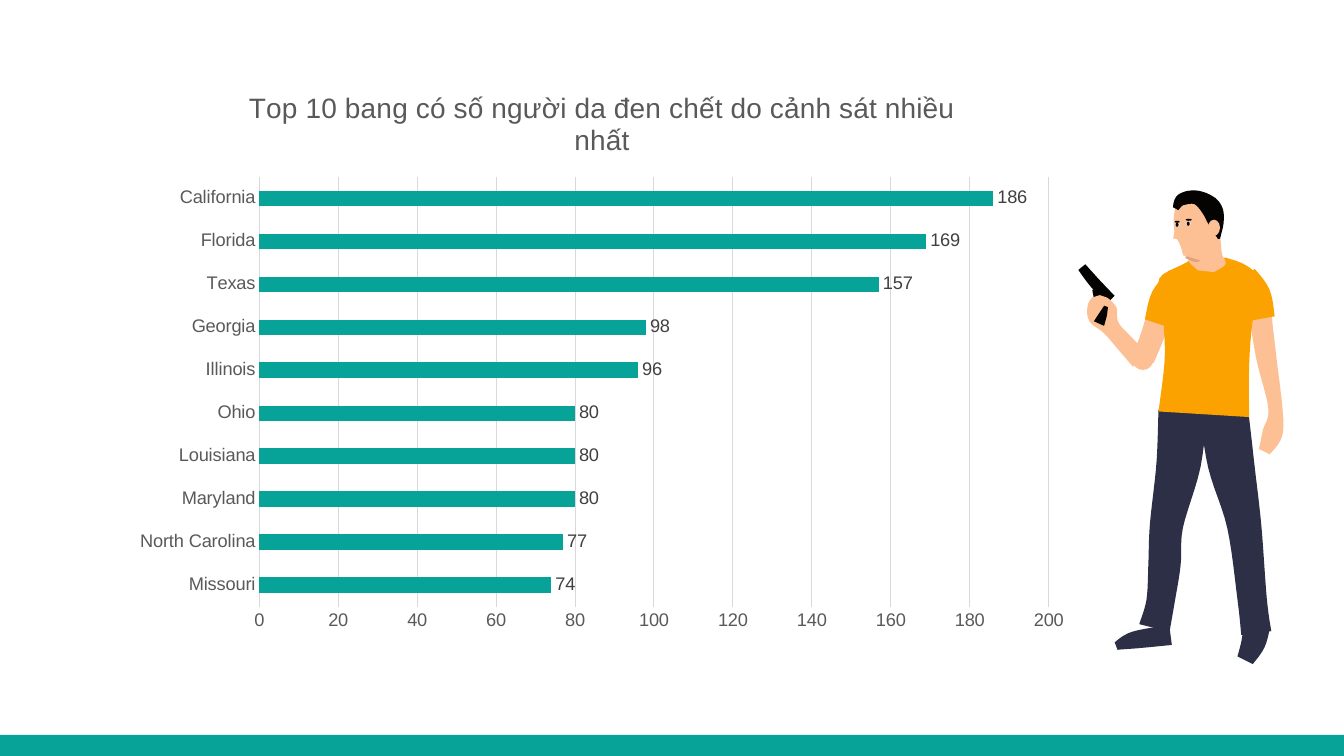
"""Build a slide with a bar chart of ten states beside a standing figure."""
import math

from pptx import Presentation
from pptx import util as u
from pptx.chart.data import CategoryChartData
from pptx.dml.color import RGBColor
from pptx.enum import chart as ch, shapes

COLORS = {"teal": "07A398", "grid": "D9D9D9", "label": "404040", "text": "595959",
          "skin": "FDC095", "shade": "E2A37A", "navy": "2C2F45", "shirt": "FBA200",
          "black": "050301", "eye": "F2F2F2"}

STATES = {"Missouri": 74, "North Carolina": 77, "Maryland": 80, "Louisiana": 80,
          "Ohio": 80, "Illinois": 96, "Georgia": 98, "Texas": 157,
          "Florida": 169, "California": 186}

TITLE = "Top 10 bang có số người da đen chết do cảnh sát nhiều nhất"

STEPS = 6
LIMBS = {
    "left shoe": ("navy", [(11.07, 6.41, 0.08), (11.25, 6.35, 0.17), (11.61, 6.3, 0.2)]),
    "right shoe": ("navy", [(12.47, 6.2, 0.26), (12.43, 6.38, 0.24), (12.35, 6.55, 0.17)]),
    "left leg": ("navy", [(11.73, 4.08, 0.48), (11.69, 4.6, 0.44), (11.57, 5.21, 0.33),
                          (11.55, 5.6, 0.32), (11.51, 5.97, 0.28), (11.45, 6.23, 0.31)]),
    "right leg": ("navy", [(12.14, 4.08, 0.48), (12.21, 4.6, 0.46), (12.34, 5.21, 0.34),
                           (12.42, 5.95, 0.29), (12.46, 6.28, 0.3)]),
    "hanging arm": ("skin", [(12.5, 3.12, 0.22), (12.56, 3.55, 0.2), (12.65, 4.05, 0.14),
                             (12.62, 4.3, 0.2), (12.54, 4.48, 0.12)]),
    "upper arm": ("skin", [(11.49, 3.15, 0.24), (11.42, 3.36, 0.23), (11.34, 3.56, 0.22)]),
    "gun barrel": ("black", [(10.73, 2.65, 0.09), (10.87, 2.82, 0.11), (11.02, 2.97, 0.1)]),
    "gun frame": ("black", [(10.87, 2.86, 0.08), (10.92, 2.97, 0.14)]),
    "forearm": ("skin", [(11.31, 3.57, 0.2), (11.16, 3.41, 0.18), (11.02, 3.25, 0.18),
                         (10.94, 3.12, 0.3), (10.89, 3.0, 0.22), (10.87, 2.94, 0.08)]),
    "gun grip": ("black", [(10.97, 3.04, 0.04), (10.94, 3.12, 0.08), (10.9, 3.21, 0.11)]),
    "torso": ("shirt", [(11.98, 2.57, 0.36), (11.99, 2.76, 0.98), (11.98, 3.2, 0.88),
                        (11.97, 3.6, 0.84), (11.94, 4.11, 0.9)]),
    "left sleeve": ("shirt", [(11.68, 2.74, 0.2), (11.54, 2.95, 0.25), (11.45, 3.2, 0.2)]),
    "right sleeve": ("shirt", [(12.36, 2.72, 0.2), (12.47, 2.92, 0.26), (12.52, 3.16, 0.25)]),
    "neck": ("skin", [(12.0, 2.3, 0.2), (11.98, 2.5, 0.28), (11.97, 2.6, 0.37),
                      (11.96, 2.69, 0.16)]),
    "neck shade": ("shade", [(11.76, 2.55, 0.02), (11.87, 2.57, 0.06), (11.94, 2.52, 0.02)]),
    "face": ("skin", [(11.87, 1.95, 0.38), (11.86, 2.2, 0.44), (11.87, 2.4, 0.38),
                      (11.83, 2.56, 0.2)]),
    "nose": ("skin", [(11.68, 2.25, 0.04), (11.67, 2.37, 0.07)]),
    "hair": ("black", [(11.66, 2.07, 0.06), (11.72, 1.98, 0.12), (11.87, 1.96, 0.14),
                       (12.01, 2.06, 0.2), (12.06, 2.2, 0.16), (12.09, 2.37, 0.02)]),
}
OVALS = {
    "elbow": ("skin", (11.23, 3.46, 0.21, 0.21)),
    "ear": ("skin", (11.98, 2.18, 0.12, 0.16)),
    "right eye": ("eye", (11.76, 2.2, 0.05, 0.04)),
    "right pupil": ("black", (11.77, 2.2, 0.03, 0.04)),
    "right brow": ("black", (11.76, 2.17, 0.06, 0.02)),
    "left eye": ("eye", (11.65, 2.21, 0.05, 0.04)),
    "left pupil": ("black", (11.66, 2.21, 0.03, 0.04)),
    "left brow": ("black", (11.65, 2.19, 0.05, 0.02)),
}


def rgb(name):
    return RGBColor.from_string(COLORS[name])


def paint(sp, color):
    sp.shadow.inherit = False
    sp.fill.solid()
    sp.fill.fore_color.rgb = rgb(color)
    sp.line.fill.background()


def add_preset(parent, kind, box, color):
    paint(parent.add_shape(kind, *map(u.Inches, box)), color)


def spline(a, b, c, d, t):
    return b + t / 2 * (c - a + t * (2 * a - 5 * b + 4 * c - d
                                     + t * (3 * (b - c) + d - a)))


def smooth(joints):
    padded = [joints[0], *joints, joints[-1]]
    points = [tuple(spline(*values, step / STEPS) for values in zip(*padded[i:i + 4]))
              for i in range(len(joints) - 1) for step in range(STEPS)]
    return points + [joints[-1]]


def limb_outline(joints):
    points = smooth(joints)
    left, right = [], []
    for i, (x, y, width) in enumerate(points):
        before, after = points[max(i - 1, 0)], points[min(i + 1, len(points) - 1)]
        angle = math.atan2(after[1] - before[1], after[0] - before[0])
        dx, dy = -math.sin(angle) * width / 2, math.cos(angle) * width / 2
        left.append((x + dx, y + dy))
        right.append((x - dx, y - dy))
    return left + right[::-1]


def add_limb(parent, joints, color):
    outline = [(u.Inches(x), u.Inches(y)) for x, y in limb_outline(joints)]
    builder = parent.build_freeform(*outline[0])
    builder.add_line_segments(outline[1:], close=True)
    paint(builder.convert_to_shape(), color)


def add_figure(slide):
    parts = slide.shapes.add_group_shape().shapes
    for color, joints in LIMBS.values():
        add_limb(parts, joints, color)
    for color, box in OVALS.values():
        add_preset(parts, shapes.MSO_SHAPE.OVAL, box, color)


def set_font(font, size, color):
    for name, value in {"name": "Arial", "size": u.Pt(size), "bold": False}.items():
        setattr(font, name, value)
    font.color.rgb = rgb(color)


def style_line(line):
    line.color.rgb = rgb("grid")
    line.width = u.Pt(0.75)


def style_axis(axis, **values):
    values |= {"major_tick_mark": ch.XL_TICK_MARK.NONE,
               "minor_tick_mark": ch.XL_TICK_MARK.NONE}
    for name, value in values.items():
        setattr(axis, name, value)
    set_font(axis.tick_labels.font, 13, "text")


def style_axes(chart):
    style_axis(chart.category_axis, has_major_gridlines=False)
    style_line(chart.category_axis.format.line)
    style_axis(chart.value_axis, minimum_scale=0, maximum_scale=200, major_unit=20,
               has_major_gridlines=True)
    chart.value_axis.format.line.fill.background()
    style_line(chart.value_axis.major_gridlines.format.line)


def style_bars(plot):
    plot.gap_width = 182
    plot.vary_by_categories = False
    fill = plot.series[0].format.fill
    fill.solid()
    fill.fore_color.rgb = rgb("teal")
    labels = plot.series[0].data_labels
    labels.show_value = True
    labels.position = ch.XL_LABEL_POSITION.OUTSIDE_END
    set_font(labels.font, 13, "label")


def add_state_chart(slide):
    data = CategoryChartData()
    data.categories = list(STATES)
    data.add_series("Series 1", list(STATES.values()))
    box = map(u.Inches, (1.2, 0.68, 9.54, 5.69))
    chart = slide.shapes.add_chart(ch.XL_CHART_TYPE.BAR_CLUSTERED, *box, data).chart
    set_font(chart.font, 10, "text")
    chart.has_legend = False
    chart.has_title = True
    chart.chart_title.include_in_layout = False
    r = chart.chart_title.text_frame.paragraphs[0].add_run()
    r.text = TITLE
    set_font(r.font, 20, "text")
    style_axes(chart)
    style_bars(chart.plots[0])


def main():
    prs = Presentation()
    prs.slide_width, prs.slide_height = u.Inches(13.33), u.Inches(7.5)
    slide = prs.slides.add_slide(prs.slide_layouts[6])
    add_preset(slide.shapes, shapes.MSO_SHAPE.RECTANGLE, (0, 7.29, 13.33, 0.21), "teal")
    add_figure(slide)
    add_state_chart(slide)
    prs.save("out.pptx")


if __name__ == "__main__":
    main()
